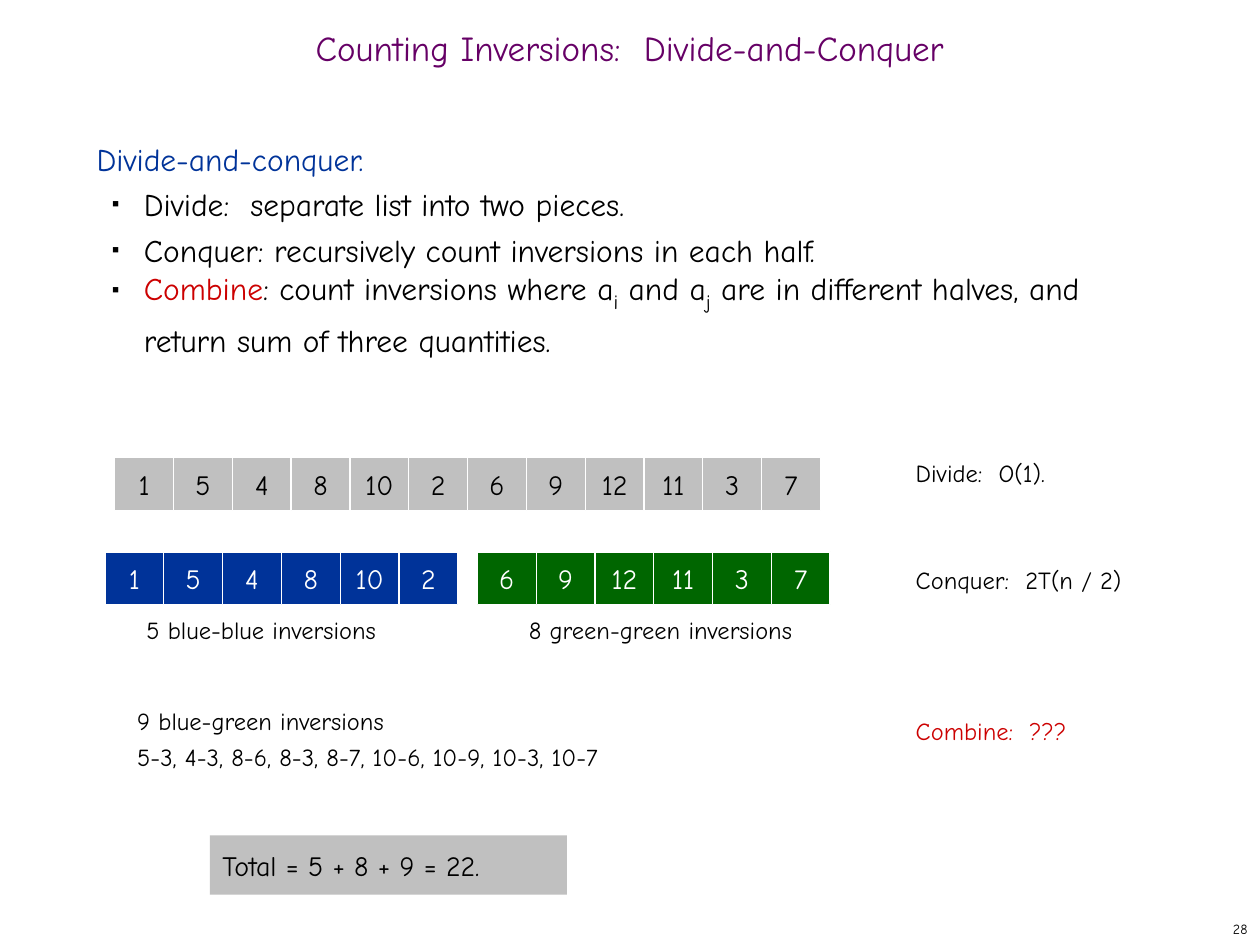
import lxml.etree
import pptx
import pptx.dml.color
import pptx.enum.shapes
import pptx.enum.text
import pptx.oxml.ns
import pptx.util

Pt = pptx.util.Pt
ALIGN = pptx.enum.text.PP_ALIGN
ANCHOR = pptx.enum.text.MSO_ANCHOR
BLACK, WHITE, GRAY = "000000", "FFFFFF", "C0C0C0"
BLUE, GREEN, RED, PURPLE = "003399", "006600", "CC0000", "660066"


def color(value):
    return pptx.dml.color.RGBColor.from_string(value)


class SlideBuilder:
    """Holds the style and the current slide, and adds each kind of element."""

    font_name = "Comic Neue"
    cell_width = 33.6
    cell_height = 30.2

    def __init__(self, slide):
        self.slide = slide

    def place(self, shape, left, top, width, height):
        shape.left, shape.top = Pt(left), Pt(top)
        shape.width, shape.height = Pt(width), Pt(height)

    def style(self, paragraph, size, text_color, align=ALIGN.LEFT, spacing=None):
        paragraph.alignment = align
        paragraph.line_spacing = spacing
        paragraph.space_before = Pt(0)
        paragraph.font.name = self.font_name
        paragraph.font.size = Pt(size)
        paragraph.font.color.rgb = color(text_color)

    def set_text(self, shape, text, size, text_color=BLACK, align=ALIGN.LEFT, spacing=None, wrap=True):
        frame = shape.text_frame
        frame.text = text
        frame.word_wrap = wrap
        frame.auto_size = pptx.enum.text.MSO_AUTO_SIZE.NONE
        frame.vertical_anchor = ANCHOR.MIDDLE
        for paragraph in frame.paragraphs:
            self.style(paragraph, size, text_color, align, spacing)

    def title(self, text):
        shape = self.slide.shapes.title
        self.place(shape, 0, 12, 720, 36)
        self.set_text(shape, text, 20, PURPLE, ALIGN.CENTER, 0.7)

    def bullet(self, paragraph):
        properties = paragraph._p.get_or_add_pPr()
        properties.set("marL", str(Pt(27)))
        properties.set("indent", str(Pt(-18)))
        qualified = pptx.oxml.ns.qn
        holder = lxml.etree.SubElement(properties, qualified("a:buClr"))
        lxml.etree.SubElement(holder, qualified("a:srgbClr"), val=BLACK)
        lxml.etree.SubElement(properties, qualified("a:buSzPct"), val="35000")
        lxml.etree.SubElement(properties, qualified("a:buChar"), char="■")

    def heading(self, paragraph):
        properties = paragraph._p.get_or_add_pPr()
        properties.set("marL", "0")
        properties.set("indent", "0")
        lxml.etree.SubElement(properties, pptx.oxml.ns.qn("a:buNone"))

    def body(self, heading, items):
        shape = self.slide.placeholders[1]
        self.place(shape, 48, 72, 618, 426)
        frame = shape.text_frame
        frame.word_wrap = True
        frame.auto_size = pptx.enum.text.MSO_AUTO_SIZE.NONE
        frame.vertical_anchor = ANCHOR.TOP
        paragraph = frame.paragraphs[0]
        paragraph.text = heading
        self.heading(paragraph)
        self.style(paragraph, 18, BLUE, spacing=Pt(25.9))
        for pieces in items:
            paragraph = frame.add_paragraph()
            paragraph.level = 1
            self.bullet(paragraph)
            self.style(paragraph, 18, BLACK, spacing=Pt(25.9))
            for text, kind in pieces:
                run = paragraph.add_run()
                run.text = text
                if kind == "key":
                    run.font.color.rgb = color(RED)
                elif kind == "subscript":
                    run.font.size = Pt(20)
                    run._r.get_or_add_rPr().set("baseline", "-25000")

    def text(self, left, top, width, height, text, size=14, **style):
        shape = self.slide.shapes.add_textbox(Pt(left), Pt(top), Pt(width), Pt(height))
        self.set_text(shape, text, size, **style)

    def box(self, left, top, width, height, text, fill, line=None, **style):
        shape = self.slide.shapes.add_shape(
            pptx.enum.shapes.MSO_SHAPE.RECTANGLE, Pt(left), Pt(top), Pt(width), Pt(height))
        shape.shadow.inherit = False
        shape.fill.solid()
        shape.fill.fore_color.rgb = color(fill)
        if line:
            shape.line.color.rgb = color(line)
            shape.line.width = Pt(0.74)
        else:
            shape.line.fill.background()
        self.set_text(shape, text, 16, **style)

    def cells(self, left, top, values, fill, text_color):
        for index, value in enumerate(values):
            self.box(left + index * self.cell_width, top, self.cell_width, self.cell_height,
                     str(value), fill, WHITE, text_color=text_color,
                     align=ALIGN.CENTER, wrap=False)


presentation = pptx.Presentation()
presentation.slide_width, presentation.slide_height = Pt(720), Pt(540)
builder = SlideBuilder(presentation.slides.add_slide(presentation.slide_layouts[1]))

builder.title("Counting Inversions:  Divide-and-Conquer")
builder.body("Divide-and-conquer.", [
    [("Divide:  separate list into two pieces.", "plain")],
    [("Conquer: recursively count inversions in each half.", "plain")],
    [("Combine", "key"), (": count inversions where a", "plain"), ("i", "subscript"),
     (" and a", "plain"), ("j", "subscript"),
     (" are in different halves, and return sum of three quantities.", "plain")],
])

numbers = [1, 5, 4, 8, 10, 2, 6, 9, 12, 11, 3, 7]
builder.cells(65.6, 261.6, numbers, GRAY, BLACK)
builder.cells(60, 315.4, numbers[:6], BLUE, WHITE)
builder.cells(272.8, 315.4, numbers[6:], GREEN, WHITE)

builder.text(76.3, 348, 146, 24, "5 blue-blue inversions", align=ALIGN.CENTER, wrap=False)
builder.text(294.5, 348, 166, 24, "8 green-green inversions", align=ALIGN.CENTER, wrap=False)

for top, width, step, step_color in [
    (258, 107, "Divide:  O(1).", BLACK),
    (319, 156, "Conquer:  2T(n / 2)", BLACK),
    (405.4, 132, "Combine:  ???", RED),
]:
    builder.text(516.2, top, width, 24, step, text_color=step_color)

builder.text(71.3, 396.7, 408, 47.5,
             "9 blue-green inversions\n5-3, 4-3, 8-6, 8-3, 8-7, 10-6, 10-9, 10-3, 10-7", spacing=1.2)
builder.box(120, 477.4, 204, 33.8, "Total = 5 + 8 + 9 = 22.", GRAY)
builder.text(570, 522, 150, 18, "28", size=8, align=ALIGN.RIGHT)

presentation.save("out.pptx")
